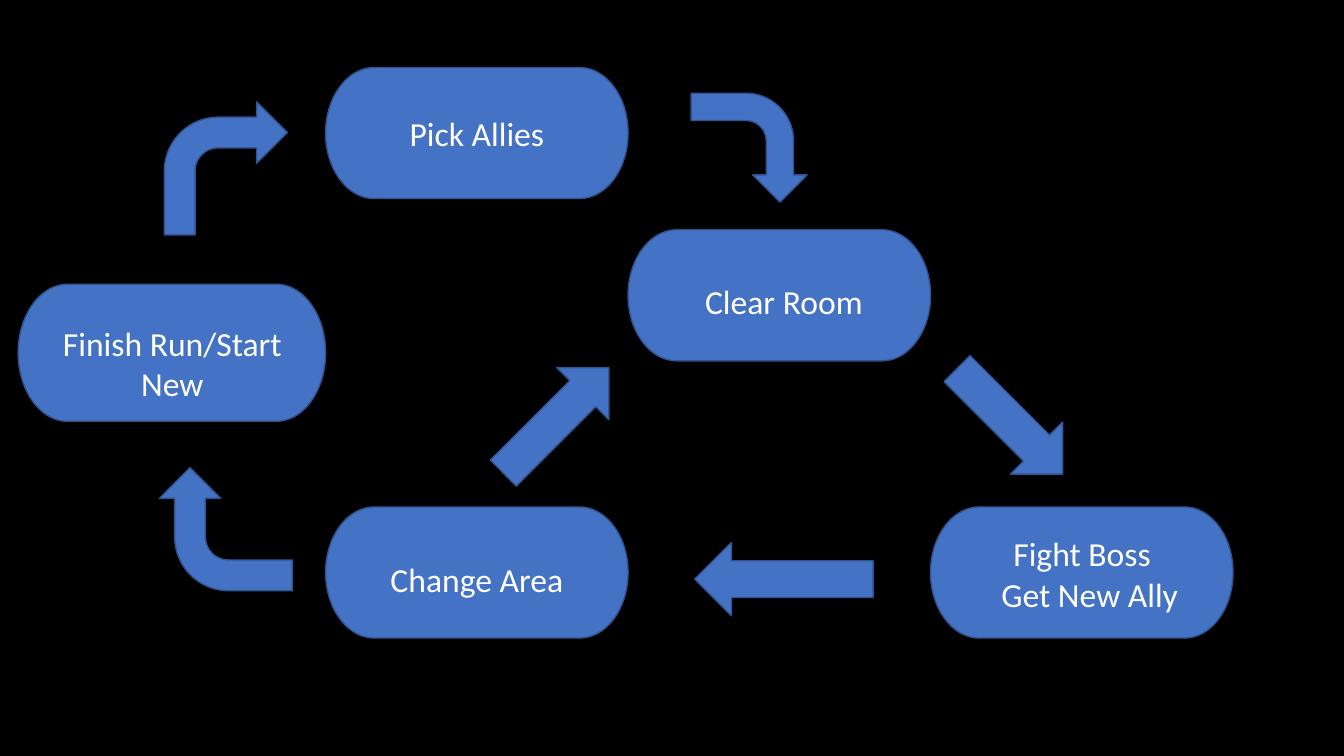
import pptx
import pptx.dml.color
import pptx.enum.shapes
import pptx.enum.text
import pptx.util
from dataclasses import dataclass

SHAPES = pptx.enum.shapes.MSO_SHAPE


@dataclass(frozen=True)
class Theme:
    background: str = "000000"
    fill: str = "4472C4"
    outline: str = "31538F"
    text: str = "FFFFFF"
    font: str = "Calibri"
    text_size: int = 24
    outline_width: int = 1


def colour(code):
    return pptx.dml.color.RGBColor.from_string(code)


def assign(target, values):
    for name, value in values.items():
        setattr(target, name, value)


class FlowPage:
    """One slide on a square grid whose columns and rows are a tenth of an inch."""

    cell = pptx.util.Inches(0.1)

    def __init__(self, deck, theme):
        self.theme = theme
        self.page = deck.slides.add_slide(deck.slide_layouts[6])
        background = self.page.background.fill
        background.solid()
        background.fore_color.rgb = colour(theme.background)

    def place(self, *lengths):
        return [round(length * self.cell) for length in lengths]

    def block(self, kind, area, rotation=0, adjustments=()):
        shape = self.page.shapes.add_shape(kind, *self.place(*area))
        shape.rotation = rotation
        shape.shadow.inherit = False
        shape.fill.solid()
        shape.fill.fore_color.rgb = colour(self.theme.fill)
        shape.line.color.rgb = colour(self.theme.outline)
        shape.line.width = pptx.util.Pt(self.theme.outline_width)
        for index, value in enumerate(adjustments):
            shape.adjustments[index] = value

    def label(self, lines, area):
        box = self.page.shapes.add_textbox(*self.place(*area))
        assign(box.text_frame, {
            "word_wrap": True,
            "auto_size": pptx.enum.text.MSO_AUTO_SIZE.SHAPE_TO_FIT_TEXT,
            "text": "\n".join(lines),
        })
        for para in box.text_frame.paragraphs:
            para.alignment = pptx.enum.text.PP_ALIGN.CENTER
            for span in para.runs:
                assign(span.font, {
                    "name": self.theme.font,
                    "size": pptx.util.Pt(self.theme.text_size),
                })
                span.font.color.rgb = colour(self.theme.text)

    def step(self, lines, area, label_area):
        self.block(SHAPES.FLOWCHART_TERMINATOR, area)
        self.label(lines, label_area)

    def bent_arrow(self, area, rotation):
        self.block(SHAPES.BENT_ARROW, area, rotation, (0.25, 0.25, 0.25, 0.4375))

    def straight_arrow(self, area, rotation):
        self.block(SHAPES.UP_ARROW, area, rotation, (0.5, 0.5))


def main():
    deck = pptx.Presentation()
    assign(deck, {
        "slide_width": pptx.util.Inches(13.33),
        "slide_height": pptx.util.Inches(7.5),
    })
    flow = FlowPage(deck, Theme())

    step_size = (30, 13)
    left, middle, right = (32.3 + 30 * index for index in range(3))
    top, centre, bottom = 6.7, 22.8, 50.3
    steps = [
        (["Pick Allies"], (left, top, *step_size), (34.5, 10.7, 25.6, 5)),
        (["Finish Run/Start New"], (1.8, 28.2, 30.5, 13.6), (2.1, 31.5, 30, 9.1)),
        (["Clear Room"], (middle, centre, *step_size), (66.6, 27.4, 22.3, 5)),
        (["Fight Boss ", " Get New Ally"], (right, bottom, *step_size),
         (94.6, 52.4, 26.2, 9.1)),
        (["Change Area"], (left, bottom, *step_size), (34.5, 55, 25.6, 5)),
    ]
    for lines, area, label_area in steps:
        flow.step(lines, area, label_area)

    for area, rotation in [
        ((16.3, 10.1, 12.2, 13.2), 0),
        ((16.3, 45.9, 12.2, 13.2), 270),
        ((68.9, 8.9, 10.8, 11.5), 90),
    ]:
        flow.bent_arrow(area, rotation)

    for area, rotation in [
        ((51.5, 34.3, 7.3, 14.8), 45),
        ((96.5, 34.4, 7.3, 14.8), 135),
        ((74.1, 48.6, 7.3, 17.7), 270),
    ]:
        flow.straight_arrow(area, rotation)

    deck.save("out.pptx")


if __name__ == "__main__":
    main()
